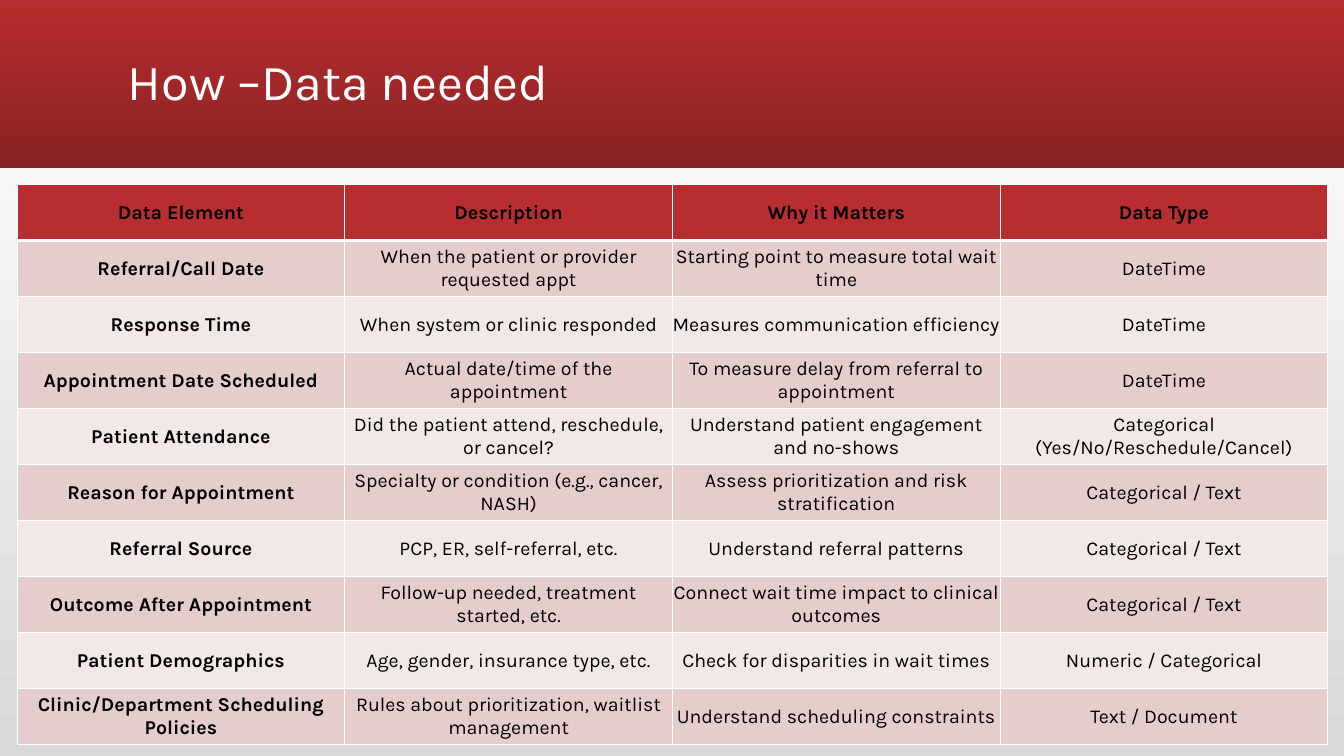
import pptx
import pptx.dml.color
import pptx.enum.shapes
import pptx.enum.text
import pptx.util
from lxml import etree
from pptx.dml.color import RGBColor
from pptx.util import Inches

FONT = "Karla"
RED = RGBColor(0xB8, 0x2D, 0x2F)
DARK = RGBColor(0x8A, 0x22, 0x23)
PINK = RGBColor(0xE6, 0xCD, 0xCD)
PALE = RGBColor(0xF3, 0xE8, 0xE8)
GREY = RGBColor(0xD9, 0xD9, 0xD9)
WHITE = RGBColor(0xFF, 0xFF, 0xFF)
BLACK = RGBColor(0, 0, 0)

ROWS = [
    ("Data Element", "Description", "Why it Matters", "Data Type"),
    ("Referral/Call Date", "When the patient or provider requested appt",
     "Starting point to measure total wait time", "DateTime"),
    ("Response Time", "When system or clinic responded",
     "Measures communication efficiency", "DateTime"),
    ("Appointment Date Scheduled", "Actual date/time of the appointment",
     "To measure delay from referral to appointment", "DateTime"),
    ("Patient Attendance", "Did the patient attend, reschedule, or cancel?",
     "Understand patient engagement and no-shows",
     "Categorical (Yes/No/Reschedule/Cancel)"),
    ("Reason for Appointment", "Specialty or condition (e.g., cancer, NASH)",
     "Assess prioritization and risk stratification", "Categorical / Text"),
    ("Referral Source", "PCP, ER, self-referral, etc.",
     "Understand referral patterns", "Categorical / Text"),
    ("Outcome After Appointment", "Follow-up needed, treatment started, etc.",
     "Connect wait time impact to clinical outcomes", "Categorical / Text"),
    ("Patient Demographics", "Age, gender, insurance type, etc.",
     "Check for disparities in wait times", "Numeric / Categorical"),
    ("Clinic/Department Scheduling Policies",
     "Rules about prioritization, waitlist management",
     "Understand scheduling constraints", "Text / Document"),
]


def blend(fill, first, last, angle):
    """Fill with a two-colour gradient; the angle runs counter-clockwise."""
    fill.gradient()
    fill.gradient_angle = angle
    for stop, color in zip(fill.gradient_stops, (first, last)):
        stop.color.rgb = color


def add_run(para, text, size, color, bold=False):
    run = para.add_run()
    run.text = text
    font = run.font
    font.name = FONT
    font.size = pptx.util.Pt(size)
    font.bold = bold
    font.color.rgb = color


def add_band(slide):
    band = slide.shapes.add_shape(
        pptx.enum.shapes.MSO_SHAPE.RECTANGLE,
        0, 0, Inches(13.33), Inches(1.67))
    band.shadow.inherit = False
    band.line.fill.background()
    blend(band.fill, RED, DARK, 270)


def add_title(slide, text):
    box = slide.shapes.add_textbox(
        Inches(1.17), Inches(0.11), Inches(11), Inches(1.45))
    frame = box.text_frame
    frame.word_wrap = True
    frame.vertical_anchor = pptx.enum.text.MSO_ANCHOR.MIDDLE
    para = frame.paragraphs[0]
    para.line_spacing = 0.9
    add_run(para, text, 36, WHITE)


def add_edge(cell, side, width):
    """Draw one white border of a cell; side is L, R, T or B."""
    props = cell._tc.get_or_add_tcPr()
    ns = pptx.oxml.ns.qn
    line = etree.SubElement(props, ns("a:ln" + side),
                            w=str(pptx.util.Pt(width)))
    solid = etree.SubElement(line, ns("a:solidFill"))
    etree.SubElement(solid, ns("a:srgbClr"), val=str(WHITE))


def fill_cell(cell, text, row, col):
    # The line under the header is thicker than the others
    thick = {(0, "B"), (1, "T")}
    for side in "LRTB":
        add_edge(cell, side, 3 if (row, side) in thick else 1)
    cell.fill.solid()
    cell.fill.fore_color.rgb = RED if row == 0 else (PALE, PINK)[row % 2]
    cell.margin_left = cell.margin_right = 0
    cell.margin_top = cell.margin_bottom = 0
    cell.vertical_anchor = pptx.enum.text.MSO_ANCHOR.MIDDLE
    para = cell.text_frame.paragraphs[0]
    para.alignment = pptx.enum.text.PP_ALIGN.CENTER
    add_run(para, text, 14, BLACK, row == 0 or col == 0)


def add_grid(slide, rows):
    table = slide.shapes.add_table(
        len(rows), len(rows[0]),
        Inches(0.17), Inches(1.83), Inches(13), Inches(5.56)).table
    for row, texts in enumerate(rows):
        for col, text in enumerate(texts):
            fill_cell(table.cell(row, col), text, row, col)


def main():
    deck = pptx.Presentation()
    deck.slide_width = Inches(13.33)
    deck.slide_height = Inches(7.5)
    slide = deck.slides.add_slide(deck.slide_layouts[6])

    # Backdrop and heading
    blend(slide.background.fill, GREY, WHITE, 90)
    add_band(slide)
    add_title(slide, "How –Data needed")

    # Data table
    add_grid(slide, ROWS)
    deck.save("out.pptx")


if __name__ == "__main__":
    main()
